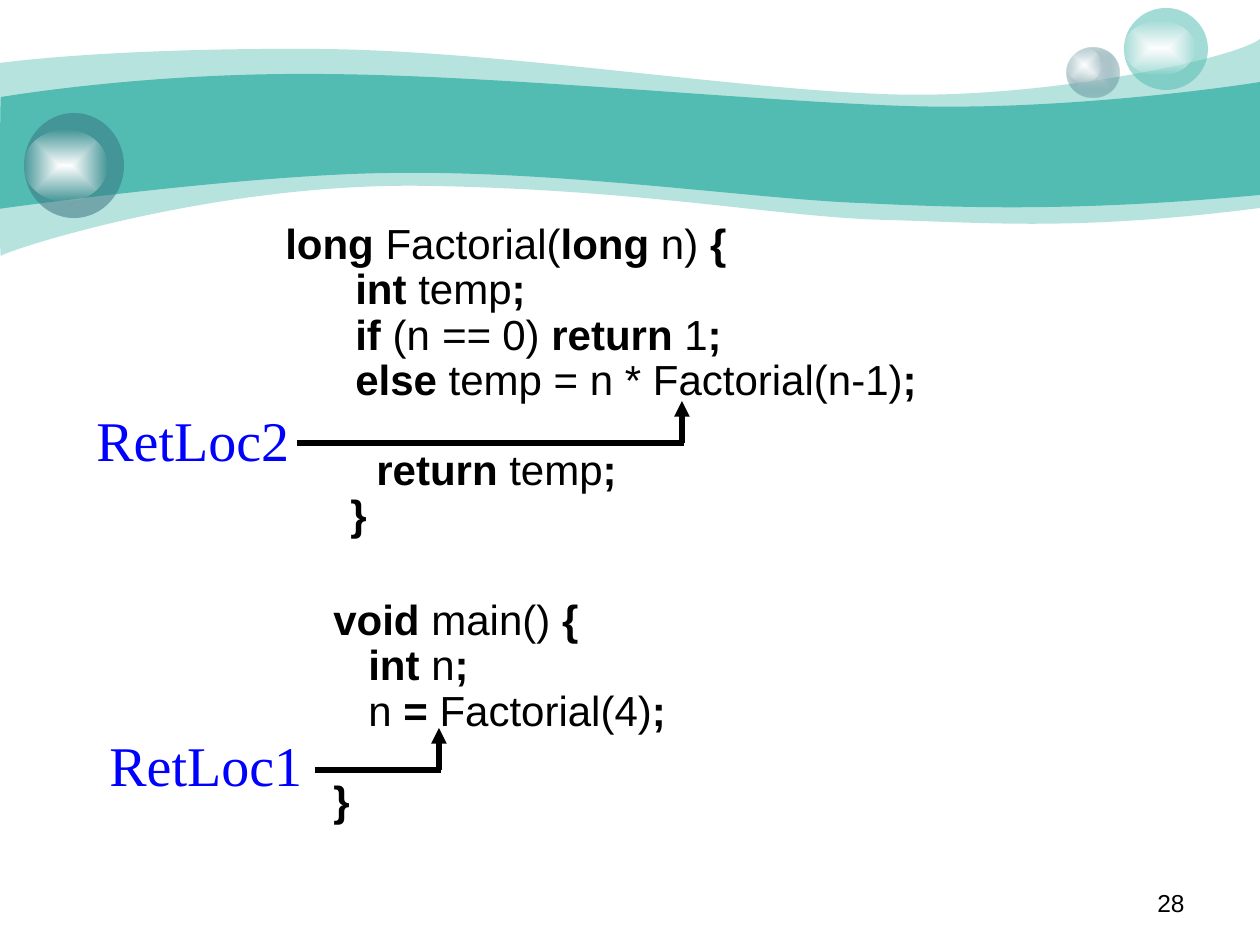
import pptx
import pptx.util
import pptx.dml.color
import pptx.enum.shapes
import pptx.enum.text
import pptx.oxml
import pptx.oxml.ns

EMU_PER_PX = 914400 // 126
TEAL, SLATE, BLACK, BLUE = "52BCB2", "37737F", "000000", "0000FF"
PLAIN, BOLD, ITALIC = "", "b", "i"

# Each curve: two control points and an end point; a lone point is a straight edge
OUTER_WAVE = ((0, 63), [
    (30, 59, 135, 48, 311, 49), (486, 49, 724, 88, 881, 94),
    (1036, 101, 1235, 59, 1260, 39), (1260, 208),
    (1081, 231, 992, 223, 888, 220), (784, 218, 649, 190, 432, 186),
    (217, 181, 5, 251, 1, 256), (-1, 262, 0, 94, 0, 63)])
INNER_WAVE = ((1, 97), [
    (3, 97, 139, 73, 312, 74), (486, 74, 750, 101, 905, 106),
    (1060, 111, 1230, 87, 1260, 82), (1260, 195),
    (1075, 212, 964, 208, 859, 203), (755, 199, 563, 171, 399, 173),
    (256, 173, -3, 209, -1, 209), (0, 209, 0, 97, 1, 97)])

# Code lines: indent in px, space before in points, runs
FACTORIAL_CODE = [
    (210, 0, [("long", BOLD), (" Factorial(", PLAIN), ("long", BOLD),
              (" n) ", PLAIN), ("{", BOLD)]),
    (280, 0, [("int", BOLD), (" temp", PLAIN), (";", BOLD)]),
    (280, 0, [("if", BOLD), (" (n", PLAIN), (" ==", ITALIC), (" 0) ", PLAIN),
              ("return", BOLD), (" 1", PLAIN), (";", BOLD)]),
    (280, 0, [("else", BOLD), (" temp = n * Factorial(n-1)", PLAIN), (";", BOLD)]),
    (301, 25.5, [("return", BOLD), (" temp", PLAIN), (";", BOLD)]),
    (275, 0, [("}", BOLD)]),
]
MAIN_CODE = [
    (263, 0, [("void ", BOLD), ("main()", PLAIN), (" {", BOLD)]),
    (298, 0, [("int ", BOLD), ("n", PLAIN), (";", BOLD)]),
    (298, 0, [("n", PLAIN), (" = ", BOLD), ("Factorial(4)", PLAIN), (";", BOLD)]),
    (263, 26, [("}", BOLD)]),
]


def px(length):
    return pptx.util.Emu(round(length * EMU_PER_PX))


def color(hex_string):
    return pptx.dml.color.RGBColor.from_string(hex_string)


def element(xml):
    """Parse one drawing element, given without its namespace."""
    tag_end = min(xml.index(mark) for mark in " />" if mark in xml)
    return pptx.oxml.parse_xml(
        f'{xml[:tag_end]} {pptx.oxml.ns.nsdecls("a")}{xml[tag_end:]}')


def paint(shape, hex_string, opacity=100):
    shape.shadow.inherit = False
    shape.line.fill.background()
    shape.fill.solid()
    shape.fill.fore_color.rgb = color(hex_string)
    if opacity < 100:
        solid_fill = shape._element.spPr.find(pptx.oxml.ns.qn("a:solidFill"))
        solid_fill[0].append(element(f'<a:alpha val="{opacity * 1000}"/>'))


def paint_glow(shape, center, edge, edge_opacity):
    """Fill from a solid center to a more transparent edge."""
    paint(shape, center)
    properties = shape._element.spPr
    gradient = element(
        '<a:gradFill rotWithShape="1"><a:gsLst>'
        f'<a:gs pos="0"><a:srgbClr val="{center}"/></a:gs>'
        f'<a:gs pos="100000"><a:srgbClr val="{edge}">'
        f'<a:alpha val="{edge_opacity * 1000}"/></a:srgbClr></a:gs></a:gsLst>'
        '<a:path path="rect"><a:fillToRect l="50000" t="50000" r="50000" b="50000"/>'
        '</a:path></a:gradFill>')
    properties.replace(properties.find(pptx.oxml.ns.qn("a:solidFill")), gradient)


def add_wave(slide, outline, hex_string, opacity=100):
    start, curves = outline
    builder = slide.shapes.build_freeform(*start, scale=EMU_PER_PX)
    for curve in curves:
        builder.add_line_segments(list(zip(curve[::2], curve[1::2])), close=False)
    builder.add_line_segments([], close=True)
    shape = builder.convert_to_shape()

    # Join each triple of segments into one Bezier curve
    segments = iter(list(shape._element.iter(pptx.oxml.ns.qn("a:lnTo"))))
    for curve in curves:
        parts = [next(segments) for _ in range(len(curve) // 2)]
        if len(parts) == 3:
            bezier = element("<a:cubicBezTo/>")
            parts[0].addprevious(bezier)
            for part in parts:
                bezier.append(part[0])
                part.getparent().remove(part)
    paint(shape, hex_string, opacity)


def add_ellipse(group, box):
    return group.shapes.add_shape(
        pptx.enum.shapes.MSO_SHAPE.OVAL, *map(px, box))


def add_text(parent, box, lines, size, font="Arial", hex_string=BLACK,
             line_spacing=None, align=None, wrap=True):
    frame = parent.shapes.add_textbox(*map(px, box)).text_frame
    frame.word_wrap = wrap
    for index, (indent, space_before, runs) in enumerate(lines):
        paragraph = frame.add_paragraph() if index else frame.paragraphs[0]
        paragraph.alignment = align
        paragraph.line_spacing = line_spacing
        if space_before:
            paragraph.space_before = pptx.util.Pt(space_before)
        if indent:
            paragraph._p.get_or_add_pPr().set("marL", str(px(indent)))
        for text, style in runs:
            run = paragraph.add_run()
            run.text = text
            run.font.name = font
            run.font.size = pptx.util.Pt(size)
            run.font.bold = style == BOLD
            run.font.italic = style == ITALIC
            run.font.color.rgb = color(hex_string)


def add_line(group, start, end, arrow=False):
    connector = group.shapes.add_connector(
        pptx.enum.shapes.MSO_CONNECTOR.STRAIGHT, *map(px, start + end))
    connector.line.color.rgb = color(BLACK)
    connector.line.width = pptx.util.Pt(3)
    if arrow:
        connector.line._get_or_add_ln().append(
            element('<a:tailEnd type="triangle"/>'))
    connector._element.spPr.append(element("<a:effectLst/>"))


def add_return_marker(slide, label, box, line_start, line_end, arrow_x, y):
    """Label with a line that turns up to the call it returns to."""
    group = slide.shapes.add_group_shape()
    add_line(group, (arrow_x, y), (arrow_x, y - 42), arrow=True)
    add_line(group, (line_start, y), (line_end, y))
    add_text(group, box, [(0, 0, [(label, PLAIN)])], 32,
             font="Times New Roman", hex_string=BLUE, wrap=False)


def main():
    presentation = pptx.Presentation()
    presentation.slide_width = pptx.util.Inches(10)
    presentation.slide_height = pptx.util.Inches(7.5)
    slide = presentation.slides.add_slide(presentation.slide_layouts[6])

    # Wave banner
    add_wave(slide, OUTER_WAVE, TEAL, 41)
    add_wave(slide, INNER_WAVE, TEAL)

    # Bubbles with highlights
    small_bubble = slide.shapes.add_group_shape()
    paint_glow(add_ellipse(small_bubble, (1067, 48, 53, 50)), "CCDBDE", SLATE, 31)
    paint_glow(add_ellipse(small_bubble, (1067, 48, 35, 34)), "FFFFFF", "FFFFFF", 0)
    for bubble, highlight, hex_string in (
            ((1124, 8, 84, 82), (1124, 21, 71, 54), TEAL),
            ((24, 113, 100, 105), (24, 130, 83, 71), SLATE)):
        group = slide.shapes.add_group_shape()
        paint(add_ellipse(group, bubble), hex_string, 53)
        paint_glow(add_ellipse(group, highlight), "FFFFFF", "FFFFFF", 0)

    # Slide number
    add_text(slide, (903, 882, 294, 44), [(0, 0, [("28", PLAIN)])], 14,
             align=pptx.enum.text.PP_ALIGN.RIGHT)

    # Code
    add_text(slide, (63, 217, 1113, 330), FACTORIAL_CODE, 24, line_spacing=0.9)
    add_text(slide, (58, 593, 1013, 239), MAIN_CODE, 24, line_spacing=0.9)

    # Return locations
    add_return_marker(slide, "RetLoc1", (97, 724, 218, 81), 315, 441, 439, 770)
    add_return_marker(slide, "RetLoc2", (84, 399, 218, 81), 297, 684, 682, 443)

    presentation.save("out.pptx")


if __name__ == "__main__":
    main()
